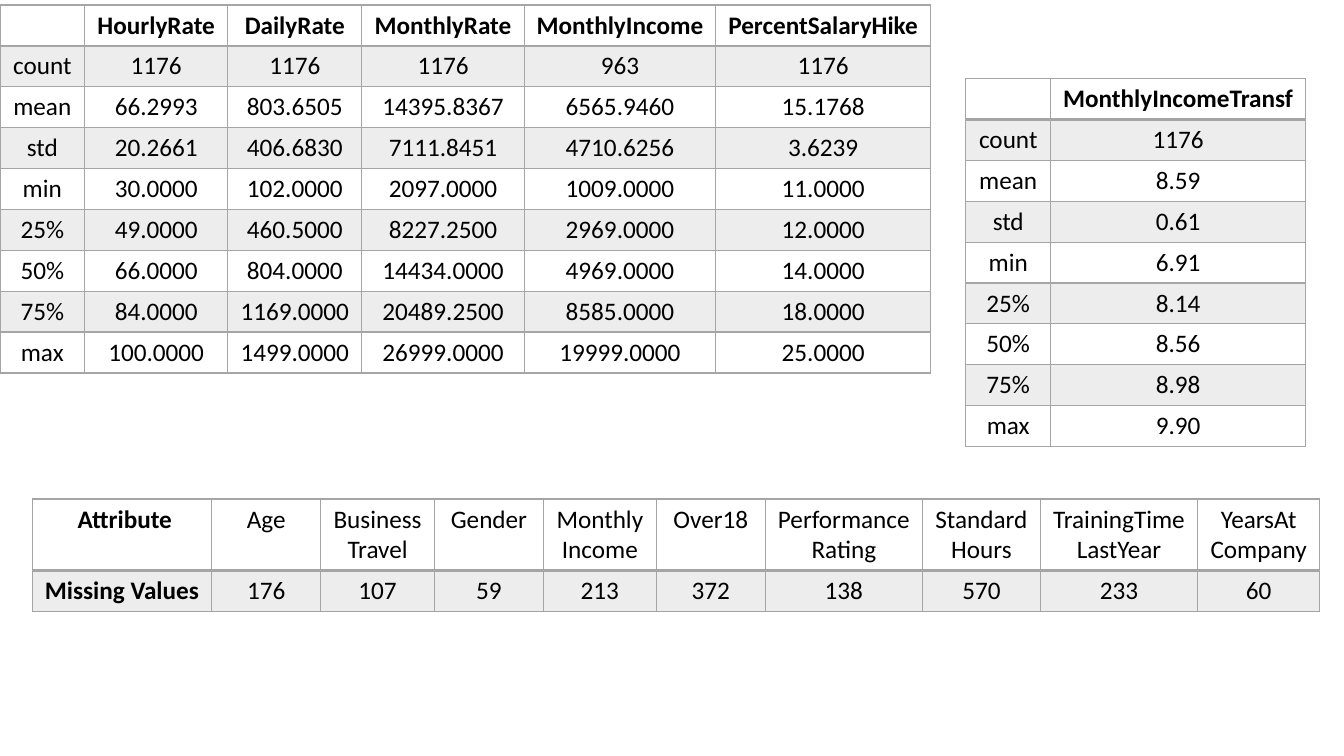
from lxml import etree
from pptx import Presentation
from pptx.dml.color import RGBColor
from pptx.enum.text import PP_ALIGN
from pptx.oxml.ns import qn
from pptx.util import Emu, Pt

PX = 9144
CENTER = PP_ALIGN.CENTER
FONT = "Calibri"
COLORS = {"text": "000000", "grey": "A5A5A5"}
BAND_ALPHA = 20000
ROW_H = 40
HEADER_H = 71
STATS = ["count", "mean", "std", "min", "25%", "50%", "75%", "max"]

RATES = {
    "HourlyRate": ["1176", "66.2993", "20.2661", "30.0000",
                   "49.0000", "66.0000", "84.0000", "100.0000"],
    "DailyRate": ["1176", "803.6505", "406.6830", "102.0000",
                  "460.5000", "804.0000", "1169.0000", "1499.0000"],
    "MonthlyRate": ["1176", "14395.8367", "7111.8451", "2097.0000",
                    "8227.2500", "14434.0000", "20489.2500", "26999.0000"],
    "MonthlyIncome": ["963", "6565.9460", "4710.6256", "1009.0000",
                      "2969.0000", "4969.0000", "8585.0000", "19999.0000"],
    "PercentSalaryHike": ["1176", "15.1768", "3.6239", "11.0000",
                          "12.0000", "14.0000", "18.0000", "25.0000"],
}
TRANSFORMED = {
    "MonthlyIncomeTransf": ["1176", "8.59", "0.61", "6.91",
                            "8.14", "8.56", "8.98", "9.90"],
}
MISSING = {
    " Attribute": "Missing Values",
    "Age": "176",
    "Business\nTravel": "107",
    "Gender": "59",
    "Monthly\nIncome": "213",
    "Over18": "372",
    "Performance\nRating": "138",
    "Standard\nHours": "570",
    "TrainingTime\nLastYear": "233",
    "YearsAt\nCompany": "60",
}


def px(n):
    """Turn a length in px into EMU."""
    return Emu(n * PX)


def set_border(cell, side, width):
    """Draw one grey border of a cell, width in points."""
    ln = etree.SubElement(cell._tc.get_or_add_tcPr(), qn("a:ln" + side), w=str(Pt(width)))
    fill = etree.SubElement(ln, qn("a:solidFill"))
    etree.SubElement(fill, qn("a:srgbClr"), val=COLORS["grey"])


def set_fill(cell, banded):
    """Give a cell a translucent grey fill, or none."""
    if not banded:
        cell.fill.background()
        return
    cell.fill.solid()
    cell.fill.fore_color.rgb = RGBColor.from_string(COLORS["grey"])
    color = cell._tc.tcPr.find(".//" + qn("a:solidFill") + "/" + qn("a:srgbClr"))
    for color in cell._tc.tcPr.find(qn("a:solidFill")):
        etree.SubElement(color, qn("a:alpha"), val=str(BAND_ALPHA))


def write_text(cell, text, bold):
    """Write centred text, one paragraph for each line."""
    tf = cell.text_frame
    for i, line in enumerate(text.split("\n")):
        p = tf.add_paragraph() if i else tf.paragraphs[0]
        p.alignment = CENTER
        if line:
            r = p.add_run()
            r.text = line
            r.font.name = FONT
            r.font.size = Pt(18)
            r.font.bold = bold
            r.font.color.rgb = RGBColor.from_string(COLORS["text"])


def add_grid(s, left, top, widths, heights, rows, bold_row=True):
    """Add a ruled table with a bold header row or a bold first column."""
    frame = s.shapes.add_table(len(rows), len(widths), px(left), px(top),
                               px(sum(widths)), px(sum(heights)))
    table = frame.table
    table.first_row = table.horz_banding = False
    for column, width in zip(table.columns, widths):
        column.width = px(width)
    for i, (values, height) in enumerate(zip(rows, heights)):
        table.rows[i].height = px(height)
        for j, text in enumerate(values):
            cell = table.cell(i, j)
            write_text(cell, text, i == 0 if bold_row else j == 0)
            for side in "LR":
                set_border(cell, side, 1)
            set_border(cell, "T", 2 if i == 1 else 1)
            set_border(cell, "B", 2 if i == 0 else 1)
            set_fill(cell, i % 2 == 1)


def add_stats(s, left, top, widths, columns):
    """Add a table of summary statistics with one column per attribute."""
    rows = [["", *columns], *zip(STATS, *columns.values())]
    add_grid(s, left, top, widths, [ROW_H] * len(rows), rows)


def main():
    """Build the slide and save it."""
    prs = Presentation()
    prs.slide_width, prs.slide_height = px(1333), px(750)
    s = prs.slides.add_slide(prs.slide_layouts[6])
    add_stats(s, 0, 5, [84, 142, 133, 161, 190, 213], RATES)
    add_stats(s, 958, 78, [84, 253], TRANSFORMED)
    add_grid(s, 32, 495, [178, 108, 113, 108, 112, 108, 156, 117, 156, 121],
             [HEADER_H, ROW_H], [list(MISSING), list(MISSING.values())], bold_row=False)
    prs.save("out.pptx")


if __name__ == "__main__":
    main()
